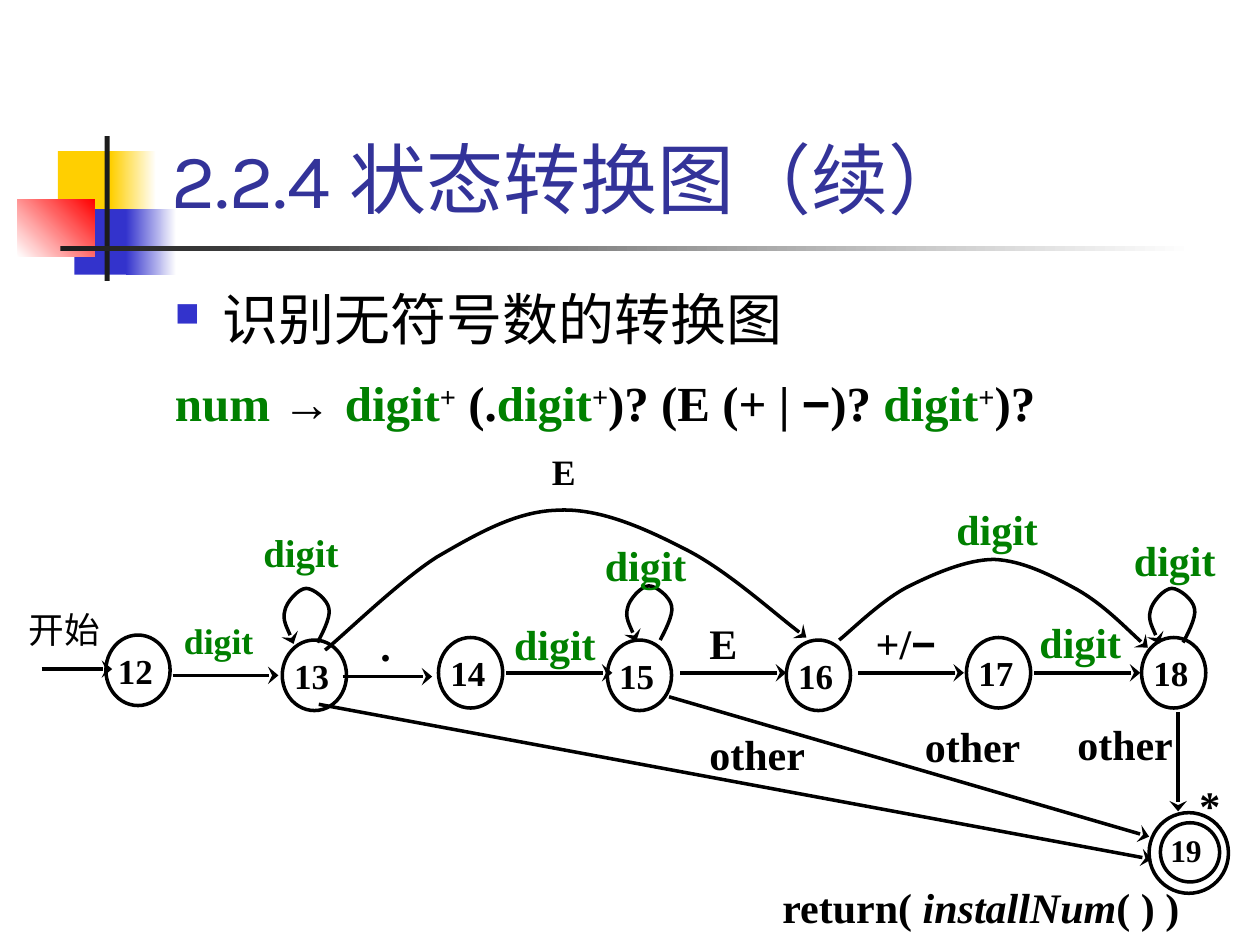
from lxml.etree import SubElement
from pptx import Presentation
from pptx.dml.color import RGBColor
from pptx.enum.shapes import MSO_CONNECTOR, MSO_SHAPE
from pptx.enum.text import MSO_ANCHOR, PP_ALIGN
from pptx.oxml.ns import qn
from pptx.util import Pt

PX = 9144
SERIF = "Times New Roman"
SANS = "Arial"
HEADING = "Karla"

BLACK = RGBColor(0x00, 0x00, 0x00)
WHITE = RGBColor(0xFF, 0xFF, 0xFF)
GREEN = RGBColor(0x00, 0x80, 0x00)
YELLOW = RGBColor(0xFF, 0xCF, 0x01)
BLUE = RGBColor(0x33, 0x33, 0xCC)
RED = RGBColor(0xFF, 0x00, 0x00)
CHARCOAL = RGBColor(0x1C, 0x1C, 0x1C)
TITLE_BLUE = RGBColor(0x33, 0x33, 0x99)

DECORATIONS = [
    (46, 120, 48, 52, YELLOW, None, 0),
    (88, 120, 36, 52, YELLOW, WHITE, 0),
    (59, 166, 46, 52, BLUE, None, 0),
    (100, 166, 40, 52, BLUE, WHITE, 0),
    (14, 158, 61, 46, WHITE, RED, 45),
    (83, 108, 4, 115, CHARCOAL, None, 0),
    (48, 195, 900, 4, CHARCOAL, WHITE, 0),
]
STATES = [("12", 84, 504), ("13", 224, 508), ("14", 348, 506), ("15", 482, 508),
          ("16", 624, 508), ("17", 767, 506), ("18", 906, 506)]
ARROWS = [
    (33, 531, 89, 531), (137, 536, 221, 536), (272, 537, 343, 537),
    (402, 534, 486, 534), (540, 534, 624, 534), (681, 534, 765, 534),
    (821, 534, 905, 534), (935, 565, 935, 644),
    (531, 553, 912, 664), (253, 559, 914, 682),
]
LOOP = [(0, 0), (2, -4), (11, -20), (9, -27), (8, -34), (-3, -43), (-9, -43),
        (-15, -43), (-25, -32), (-26, -25), (-28, -18), (-21, -5), (-19, 1)]
LOOP_STARTS = [(252, 510), (524, 508), (939, 510)]
ARCS = [
    [(258, 516), (273, 504), (317, 461), (347, 442), (378, 424), (409, 406), (442, 405),
     (474, 403), (509, 418), (542, 435), (575, 451), (619, 491), (640, 506)],
    [(666, 508), (675, 501), (699, 477), (720, 466), (740, 456), (767, 444), (789, 444),
     (812, 445), (835, 457), (855, 468), (876, 480), (899, 504), (911, 514)],
]
SMALL_LABELS = [("开始", 17, 483, 83, 20.4, BLACK, False),
                ("digit", 140, 492, 85, 20.4, GREEN, True),
                ("digit", 203, 421, 87, 22.2, GREEN, True),
                ("E", 432, 358, 58, 20.4, BLACK, True)]
DIGIT_LABELS = [(402, 488), (474, 425), (819, 486), (894, 421), (753, 397)]
OTHER_LABELS = [(849, 567), (728, 569), (557, 575)]
SYMBOL_LABELS = [(".", 296, 489, 46), ("E", 557, 487, 82), ("*", 946, 616, 45)]


def emu(*lengths):
    return [length * PX for length in lengths]


def write(paragraph, text, size=24, color=BLACK, font=SERIF, bold=True,
          italic=False, raised=False):
    run = paragraph.add_run()
    run.text = text
    run.font.size = Pt(size)
    run.font.name = font
    run.font.bold = bold
    run.font.italic = italic
    run.font.color.rgb = color
    if raised:
        run.font._element.set("baseline", "30000")


def set_frame(frame, margins, anchor=MSO_ANCHOR.TOP):
    frame.word_wrap = True
    frame.vertical_anchor = anchor
    (frame.margin_left, frame.margin_top,
     frame.margin_right, frame.margin_bottom) = emu(*margins)
    return frame


def add_frame(slide, box, margins=(10, 5, 10, 5), anchor=MSO_ANCHOR.TOP):
    return set_frame(slide.shapes.add_textbox(*emu(*box)).text_frame, margins, anchor)


def add_label(slide, x, y, width, runs, height=53, spacing=None):
    paragraph = add_frame(slide, (x, y, width, height), (6, 3, 6, 3)).paragraphs[0]
    paragraph.alignment = PP_ALIGN.JUSTIFY
    if spacing:
        paragraph.line_spacing = spacing
    for text, style in runs:
        write(paragraph, text, **style)


def add_decoration(slide, x, y, width, height, start, end, angle):
    block = slide.shapes.add_shape(MSO_SHAPE.RECTANGLE, *emu(x, y, width, height))
    block.shadow.inherit = False
    block.line.fill.background()
    if end is None:
        block.fill.solid()
        block.fill.fore_color.rgb = start
        return
    block.fill.gradient()
    block.fill.gradient_angle = angle
    for stop, color in zip(block.fill.gradient_stops, (start, end)):
        stop.color.rgb = color


def outline(element):
    element.line.color.rgb = BLACK
    element.line.width = Pt(2)


def add_arrowhead(element):
    SubElement(element.line._get_or_add_ln(), qn("a:tailEnd"), type="stealth", w="lg")


def add_state(slide, x, y, width, height, name="", size=20, margins=(2, 3, 2, 5)):
    state = slide.shapes.add_shape(MSO_SHAPE.OVAL, *emu(x, y, width, height))
    state.shadow.inherit = False
    state.fill.background()
    outline(state)
    if name:
        paragraph = set_frame(state.text_frame, margins).paragraphs[0]
        paragraph.alignment = PP_ALIGN.LEFT
        write(paragraph, name, size=size)


def add_arrow(slide, *ends):
    arrow = slide.shapes.add_connector(MSO_CONNECTOR.STRAIGHT, *emu(*ends))
    outline(arrow)
    add_arrowhead(arrow)
    SubElement(arrow._element.spPr, qn("a:effectLst"))


def bend(curve):
    track = next(curve._element.iter(qn("a:path")))
    for position, segment in enumerate(track.findall(qn("a:lnTo"))):
        if position % 3 == 0:
            bezier = SubElement(track, qn("a:cubicBezTo"))
        bezier.append(segment[0])
        track.remove(segment)


def add_curve(slide, controls):
    start, *rest = [emu(*point) for point in controls]
    builder = slide.shapes.build_freeform(*start)
    builder.add_line_segments(rest, close=False)
    curve = builder.convert_to_shape()
    bend(curve)
    curve.shadow.inherit = False
    curve.fill.background()
    outline(curve)
    add_arrowhead(curve)


def add_bullet(paragraph):
    properties = paragraph._p.get_or_add_pPr()
    indent = emu(38)[0]
    properties.set("marL", str(indent))
    properties.set("indent", str(-indent))
    SubElement(SubElement(properties, qn("a:buClr")), qn("a:srgbClr"), val=str(BLUE))
    SubElement(properties, qn("a:buSzPct"), val="60000")
    SubElement(properties, qn("a:buFont"), typeface="Wingdings", charset="2")
    SubElement(properties, qn("a:buChar"), char="n")


def add_heading(slide):
    title = add_frame(slide, (126, 23, 852, 160), anchor=MSO_ANCHOR.BOTTOM).paragraphs[0]
    write(title, "2.2.4 状态转换图（续）", size=44, color=TITLE_BLUE, font=HEADING, bold=False)


def add_definition(slide):
    body = add_frame(slide, (129, 221, 850, 450))
    topic = body.paragraphs[0]
    add_bullet(topic)
    write(topic, "识别无符号数的转换图", size=32, font=HEADING, bold=False)
    rule = body.add_paragraph()
    rule.space_before = Pt(8)
    write(rule, "num ", size=28, color=GREEN)
    write(rule, "→ ", size=28, font=SANS)
    for lead, sign, opening in (("", "", ""), (" (.", "", ""), (")? (E (+ | ", "−", ")? ")):
        for text, font in ((lead, SERIF), (sign, SANS), (opening, SERIF)):
            if text:
                write(rule, text, size=28, font=font)
        write(rule, "digit", size=28, color=GREEN)
        write(rule, "+", size=28, raised=True)
    write(rule, ")?", size=28)
    write(rule, " ", size=32, font=HEADING, bold=False, italic=True)


def add_labels(slide):
    for text, x, y, width, size, color, bold in SMALL_LABELS:
        style = {"size": size, "color": color, "bold": bold}
        add_label(slide, x, y, width, [(text, style)], height=42, spacing=0.9)
    for x, y in DIGIT_LABELS:
        add_label(slide, x, y, 87, [("digit", {"color": GREEN})])
    for x, y in OTHER_LABELS:
        add_label(slide, x, y, 107, [("other", {})])
    for text, x, y, width in SYMBOL_LABELS:
        add_label(slide, x, y, width, [(text, {})])
    add_label(slide, 689, 487, 82, [("+/", {}), ("−", {"font": SANS})])
    add_label(slide, 615, 697, 347,
              [("return( ", {}), ("installNum", {"italic": True}), ("( ) )", {})])


def main():
    deck = Presentation()
    deck.slide_width, deck.slide_height = emu(1000, 750)
    slide = deck.slides.add_slide(deck.slide_layouts[6])
    for decoration in DECORATIONS:
        add_decoration(slide, *decoration)
    add_heading(slide)
    add_definition(slide)
    for name, x, y in STATES:
        add_state(slide, x, y, 51, 56, name)
    add_state(slide, 912, 645, 63, 64)
    add_state(slide, 921, 653, 47, 47, "19", size=18, margins=(1, 0, 1, 0))
    for ends in ARROWS:
        add_arrow(slide, *ends)
    for x, y in LOOP_STARTS:
        add_curve(slide, [(x + dx, y + dy) for dx, dy in LOOP])
    for arc in ARCS:
        add_curve(slide, arc)
    add_labels(slide)
    deck.save("out.pptx")


if __name__ == "__main__":
    main()
